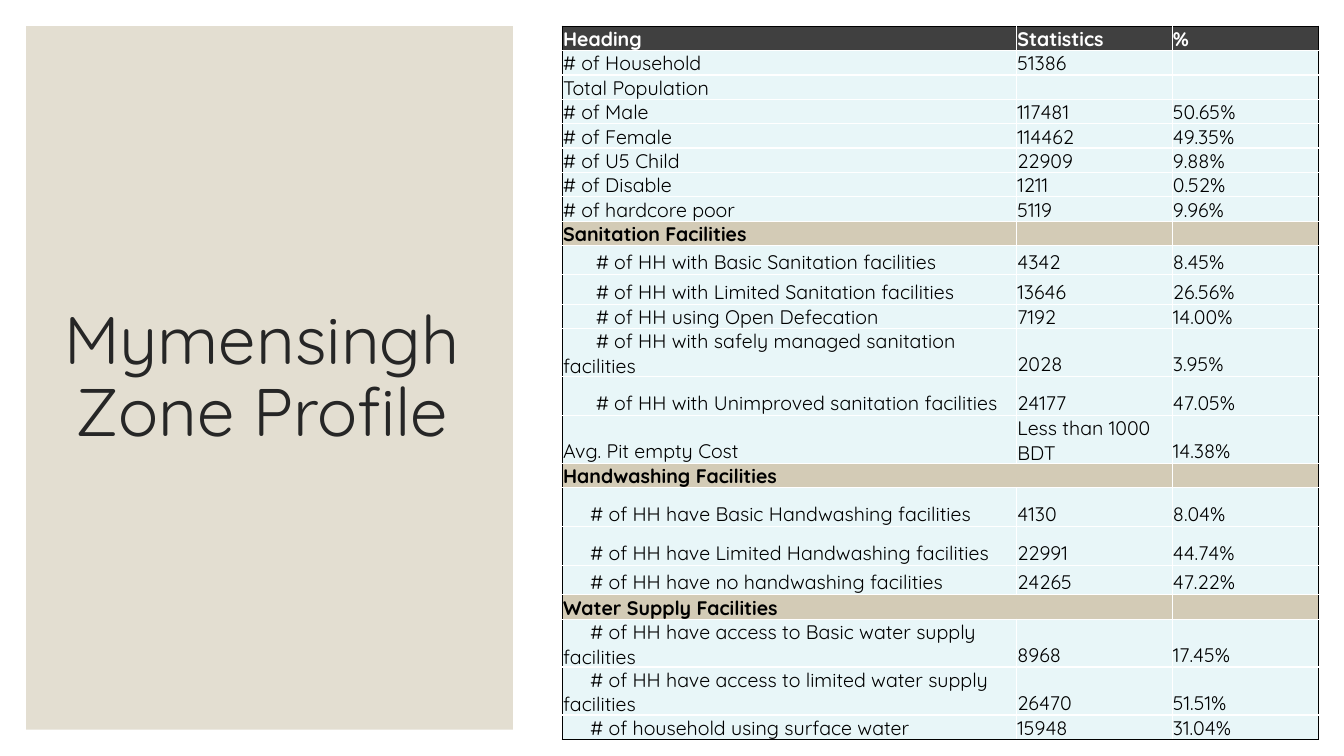
"""Build the Mymensingh zone profile slide."""
from dataclasses import dataclass

from lxml.etree import SubElement
from pptx import Presentation
from pptx.dml.color import RGBColor
from pptx.enum.shapes import MSO_SHAPE
from pptx.enum.text import MSO_ANCHOR as ANCHOR, PP_ALIGN as ALIGN
from pptx.oxml.ns import qn
from pptx.util import Cm, Pt

FONT = "Quicksand"
BLACK, WHITE, INK = "000000", "FFFFFF", "262626"
SAND, HEADER, SECTION, BODY = "E3DED1", "404040", "D3CBB6", "E8F6F8"
COL_WIDTHS = (11.45, 3.92, 3.68)
SANITATION, WASHING = 0.83, 0.69


@dataclass
class Row:
    heading: str
    statistic: str = ""
    percent: str = ""
    height: float = 0.61
    indent: float = 0
    fill: str = BODY
    color: str = BLACK
    merged: bool = False

    @property
    def bold(self) -> bool:
        return self.fill != BODY


ROWS = [
    Row("Heading", "Statistics", "%", fill=HEADER, color=WHITE),
    Row("# of Household", "51386"),
    Row("Total Population"),
    Row("# of Male", "117481", "50.65%"),
    Row("# of Female", "114462", "49.35%"),
    Row("# of U5 Child", "22909", "9.88%"),
    Row("# of Disable", "1211", "0.52%"),
    Row("# of hardcore poor", "5119", "9.96%"),
    Row("Sanitation Facilities", fill=SECTION),
    Row("# of HH with Basic Sanitation facilities", "4342", "8.45%", 0.74, SANITATION),
    Row("# of HH with Limited Sanitation facilities", "13646", "26.56%", 0.74, SANITATION),
    Row("# of HH using Open Defecation", "7192", "14.00%", indent=SANITATION),
    Row("# of HH with safely managed sanitation facilities", "2028", "3.95%", 1.19, SANITATION),
    Row("# of HH with Unimproved sanitation facilities", "24177", "47.05%", 0.98, SANITATION),
    Row("Avg. Pit empty Cost", "Less than 1000 BDT", "14.38%", 1.19),
    Row("Handwashing Facilities", fill=SECTION, merged=True),
    Row("# of HH have Basic Handwashing facilities", "4130", "8.04%", 0.98, WASHING),
    Row("# of HH have Limited Handwashing facilities", "22991", "44.74%", 0.98, WASHING),
    Row("# of HH have no handwashing facilities", "24265", "47.22%", 0.74, WASHING),
    Row("Water Supply Facilities", fill=SECTION, merged=True),
    Row("# of HH have access to Basic water supply facilities", "8968", "17.45%", 1.19, WASHING),
    Row("# of HH have access to limited water supply facilities", "26470", "51.51%", 1.19, WASHING),
    Row("# of household using surface water", "15948", "31.04%", indent=WASHING),
]


def rgb(color: str) -> RGBColor:
    return RGBColor.from_string(color)


def style(p, size: float, color: str, bold: bool = False) -> None:
    p.font.name, p.font.size, p.font.bold = FONT, Pt(size), bold
    p.font.color.rgb = rgb(color)


def add_panel(s, left: float, top: float, width: float, height: float, color: str) -> None:
    sp = s.shapes.add_shape(MSO_SHAPE.RECTANGLE, Cm(left), Cm(top), Cm(width), Cm(height))
    sp.shadow.inherit = False
    sp.fill.solid()
    sp.fill.fore_color.rgb = rgb(color)
    sp.line.fill.background()


def add_title(s, text: str) -> None:
    tf = s.shapes.add_textbox(Cm(1.14), Cm(1.55), Cm(10.92), Cm(15.98)).text_frame
    tf.word_wrap = True
    tf.vertical_anchor = ANCHOR.MIDDLE
    p = tf.paragraphs[0]
    p.text, p.alignment, p.line_spacing = text, ALIGN.CENTER, 0.9
    style(p, 48, INK)


def add_border(cell, side: str, color: str) -> None:
    ln = SubElement(cell._tc.get_or_add_tcPr(), qn(f"a:ln{side}"), w=str(Pt(1)))
    fill = SubElement(ln, qn("a:solidFill"))
    SubElement(fill, qn("a:srgbClr"), val=color)


def fill_cell(cell, text: str, row: Row, indent: float, outer: str) -> None:
    for side in "LRTB":
        add_border(cell, side, BLACK if side in outer else WHITE)
    cell.fill.solid()
    cell.fill.fore_color.rgb = rgb(row.fill)
    cell.margin_left = cell.margin_right = cell.margin_top = Cm(0.02)
    cell.margin_bottom = 0
    cell.vertical_anchor = ANCHOR.BOTTOM
    p = cell.text_frame.paragraphs[0]
    p.text = text
    style(p, 14, row.color, row.bold)
    if indent:
        p._p.get_or_add_pPr().set("indent", str(Cm(indent)))
    if not text:
        SubElement(p._p, qn("a:endParaRPr"), sz="1400")


def add_profile_table(s, rows: list[Row]) -> None:
    height = sum(row.height for row in rows)
    table = s.shapes.add_table(len(rows), len(COL_WIDTHS), Cm(14.17), Cm(0.66),
                               Cm(sum(COL_WIDTHS)), Cm(height)).table
    table.first_row = table.horz_banding = False
    for column, width in zip(table.columns, COL_WIDTHS):
        column.width = Cm(width)
    for i, row in enumerate(rows):
        table.rows[i].height = Cm(row.height)
        edge = "T" if i == 0 else "B" if i == len(rows) - 1 else ""
        for j, text in enumerate((row.heading, row.statistic, row.percent)):
            indent = row.indent if j == 0 else 0
            fill_cell(table.cell(i, j), text, row, indent, edge + ("L", "", "R")[j])
        if row.merged:
            table.cell(i, 0).merge(table.cell(i, 1))


def main() -> None:
    prs = Presentation()
    prs.slide_width, prs.slide_height = Cm(33.87), Cm(19.05)
    s = prs.slides.add_slide(prs.slide_layouts[6])
    add_panel(s, 0, 0, 33.87, 19.05, WHITE)
    add_panel(s, 0.66, 0.66, 12.27, 17.73, SAND)
    add_title(s, "Mymensingh Zone Profile")
    add_profile_table(s, ROWS)
    prs.save("out.pptx")


if __name__ == "__main__":
    main()
